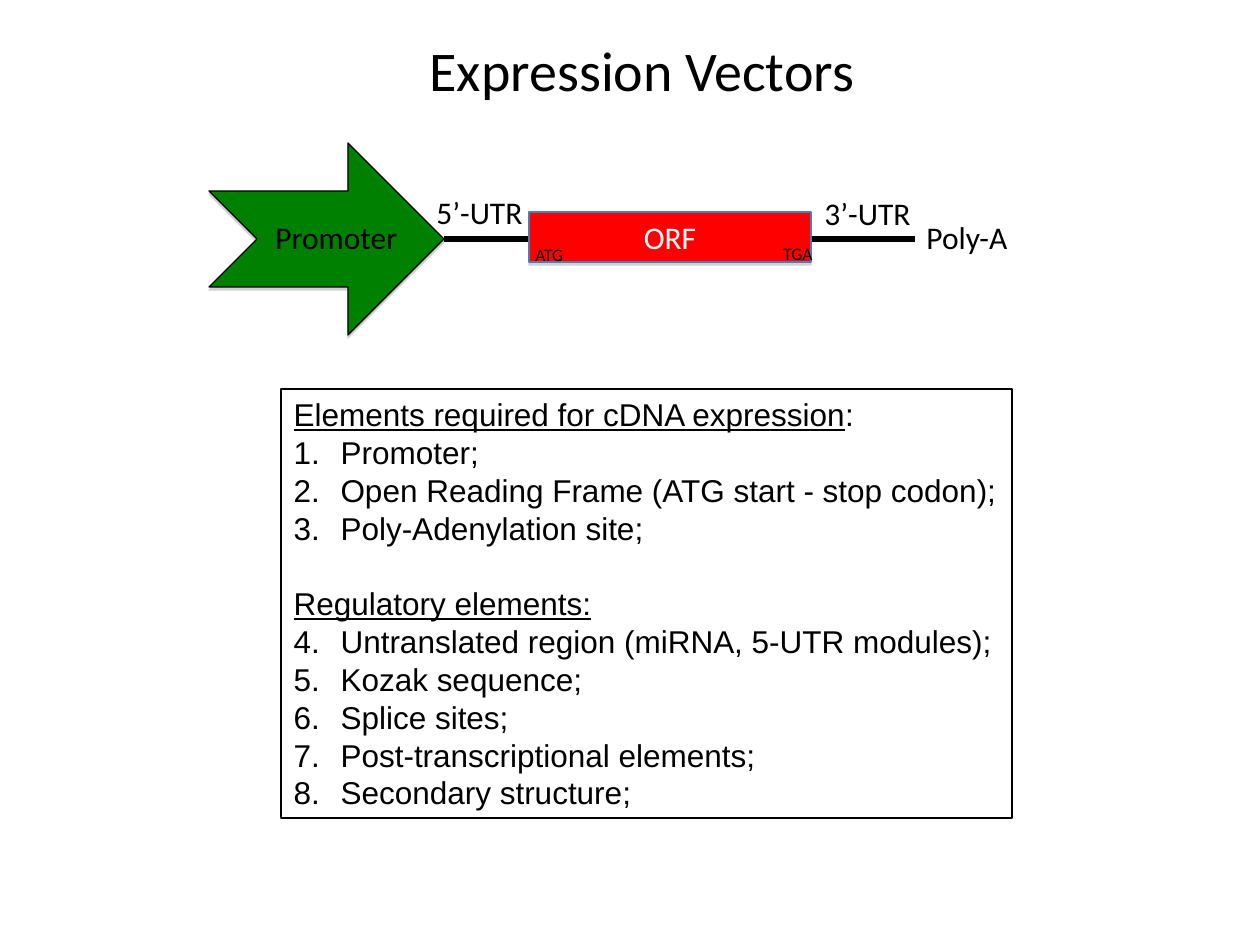
"""Builds the Expression Vectors slide with its gene diagram and element lists."""
from dataclasses import dataclass

from lxml.etree import SubElement
from pptx import Presentation
from pptx.dml.color import RGBColor
from pptx.enum.shapes import MSO_CONNECTOR as Connector, MSO_SHAPE as Preset
from pptx.enum.text import MSO_ANCHOR as Anchor, MSO_AUTO_SIZE as AutoSize, PP_ALIGN as Align
from pptx.oxml.ns import qn
from pptx.util import Emu, Pt

SCALE = 914400 // 126
COLORS = {"black": "000000", "white": "FFFFFF", "promoter": "008000",
          "orf": "FF0000", "orf_edge": "4A7EBB", "shadow": "808080"}
LINE_PITCH = 21.6
HANG = 47


@dataclass
class Label:
    text: str
    left: int
    top: int
    width: int
    height: int = 50
    size: int = 18
    wrap: bool = False


@dataclass
class Section:
    heading: str
    suffix: str
    items: list[str]
    gap: float


LABELS = [
    Label("Poly-A", 914, 212, 107),
    Label("Promoter", 263, 212, 857, wrap=True),
    Label("5’-UTR", 424, 187, 111),
    Label("3’-UTR", 812, 188, 111),
    Label("ATG", 523, 238, 54, 34, 10),
    Label("TGA", 771, 237, 54, 34, 10),
]
SECTIONS = [
    Section("Elements required for cDNA expression", ":",
            ["Promoter;", "Open Reading Frame (ATG start - stop codon);",
             "Poly-Adenylation site;"], 0),
    Section("Regulatory elements:", "",
            ["Untranslated region (miRNA, 5-UTR modules);", "Kozak sequence;",
             "Splice sites;", "Post-transcriptional elements;",
             "Secondary structure;"], LINE_PITCH),
]
ARROW = [(209, 191), (348, 191), (348, 143), (444, 239),
         (348, 335), (348, 287), (209, 287), (257, 239)]


def px(value: int) -> Emu:
    return Emu(value * SCALE)


def color(name: str) -> RGBColor:
    return RGBColor.from_string(COLORS[name])


def apply(target, values: dict) -> None:
    for name, value in values.items():
        setattr(target, name, value)


def place(shape, left: int, top: int, width: int, height: int) -> None:
    apply(shape, {"left": px(left), "top": px(top),
                  "width": px(width), "height": px(height)})


def write(para, text: str, size: int, font: str = "Calibri",
          tint: str = "black", underline: bool = False) -> None:
    span = para.add_run()
    span.text = text
    apply(span.font, {"name": font, "size": Pt(size), "underline": underline})
    span.font.color.rgb = color(tint)


def outline(shape, tint: str, width: float = 0.74) -> None:
    shape.line.color.rgb = color(tint)
    shape.line.width = Pt(width)


def finish(shape, fill: str, edge: str) -> None:
    shape.fill.solid()
    shape.fill.fore_color.rgb = color(fill)
    outline(shape, edge)
    shape.shadow.inherit = False
    effects = shape._element.spPr.find(qn("a:effectLst"))
    outer = SubElement(effects, qn("a:outerShdw"), blurRad="0", dist=str(Pt(1.8)),
                       dir="5400000", rotWithShape="0")
    tone = SubElement(outer, qn("a:srgbClr"), val=COLORS["shadow"])
    SubElement(tone, qn("a:alpha"), val="35000")


def add_label(page, label: Label) -> None:
    box = page.shapes.add_textbox(*map(px, (label.left, label.top, label.width, label.height)))
    box.text_frame.word_wrap = label.wrap
    write(box.text_frame.paragraphs[0], label.text, label.size)


def list_paragraph(para, gap: float, start: int = 0) -> None:
    apply(para, {"alignment": Align.LEFT, "line_spacing": Pt(LINE_PITCH),
                 "space_before": Pt(gap), "space_after": Pt(0)})
    props = para._p.get_or_add_pPr()
    props.set("marL", str(px(HANG)))
    props.set("indent", str(-px(HANG)))
    if start:
        SubElement(props, qn("a:buFont"), typeface="Arial")
        SubElement(props, qn("a:buAutoNum"), type="arabicPeriod", startAt=str(start))
    else:
        SubElement(props, qn("a:buNone"))


def fill_list(frame, sections: list[Section]) -> None:
    start = 1
    for section in sections:
        para = frame.paragraphs[0] if start == 1 else frame.add_paragraph()
        list_paragraph(para, section.gap)
        write(para, section.heading, 18, "Arial", underline=True)
        if section.suffix:
            write(para, section.suffix, 18, "Arial")
        for item in section.items:
            para = frame.add_paragraph()
            list_paragraph(para, 0, start)
            write(para, item, 18, "Arial")
        start += len(section.items)


def add_diagram(page) -> None:
    builder = page.shapes.build_freeform(*ARROW[0], scale=SCALE)
    builder.add_line_segments(ARROW[1:], close=True)
    finish(builder.convert_to_shape(), "promoter", "black")

    strand = page.shapes.add_connector(Connector.STRAIGHT, *map(px, (444, 239, 915, 239)))
    outline(strand, "black", 3)
    SubElement(strand._element.spPr, qn("a:effectLst"))

    frame_box = page.shapes.add_shape(Preset.RECTANGLE, *map(px, (529, 212, 282, 50)))
    finish(frame_box, "orf", "orf_edge")
    frame_box.text_frame.vertical_anchor = Anchor.MIDDLE
    para = frame_box.text_frame.paragraphs[0]
    para.alignment = Align.CENTER
    write(para, "ORF", 18, tint="white")

    for label in LABELS:
        add_label(page, label)


def main() -> None:
    deck = Presentation()
    apply(deck, {"slide_width": px(1260), "slide_height": px(945)})
    page = deck.slides.add_slide(deck.slide_layouts[1])
    title, body = page.shapes.title, page.placeholders[1]
    for holder, area in ((title, (417, 29, 455, 81)), (body, (281, 389, 731, 429))):
        place(holder, *area)
        apply(holder.text_frame, {"auto_size": AutoSize.NONE, "word_wrap": True,
                                  "vertical_anchor": Anchor.TOP})
    heading = title.text_frame.paragraphs[0]
    heading.alignment = Align.LEFT
    write(heading, "Expression Vectors", 32)
    add_diagram(page)
    outline(body, "black")
    fill_list(body.text_frame, SECTIONS)
    deck.save("out.pptx")


main()
